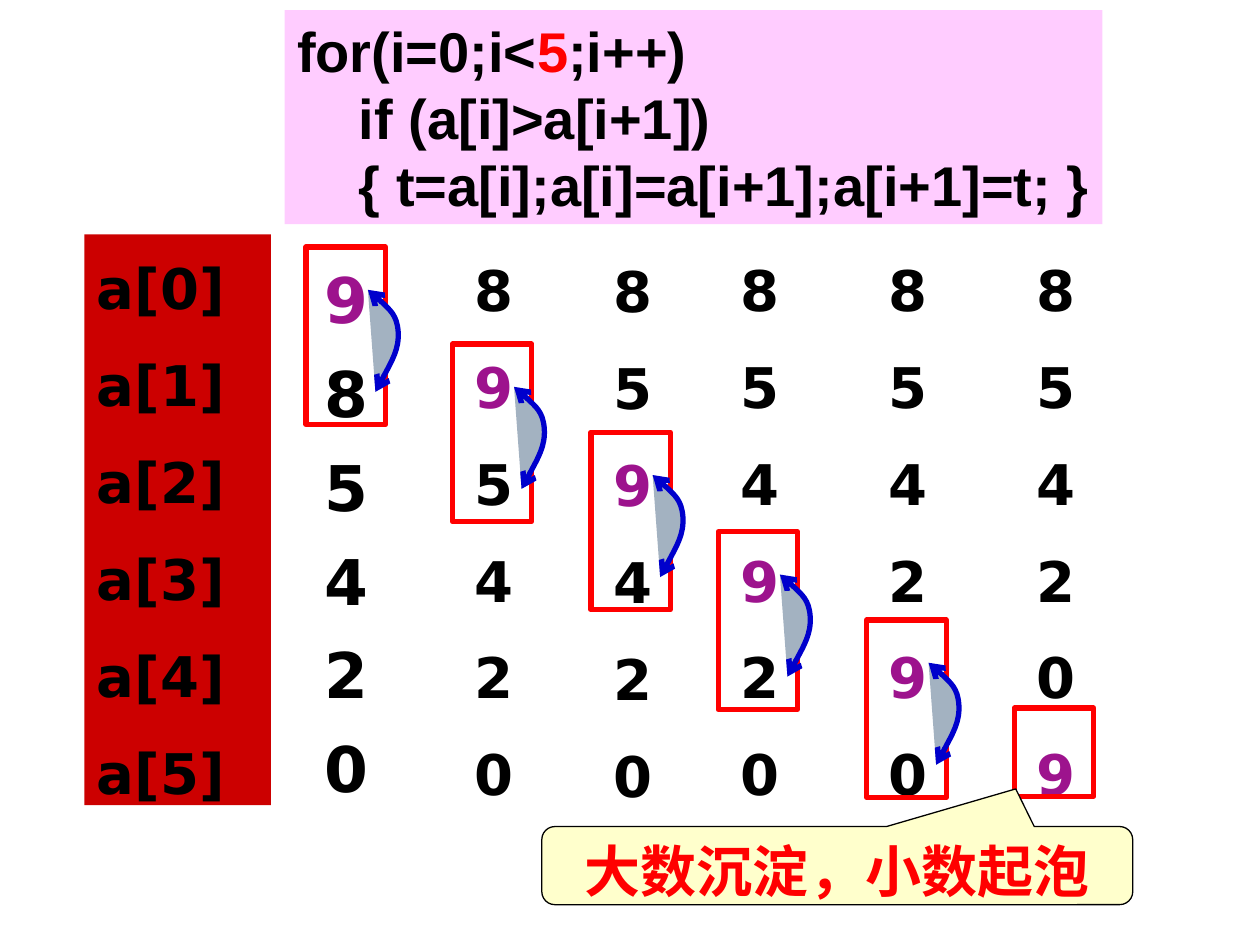
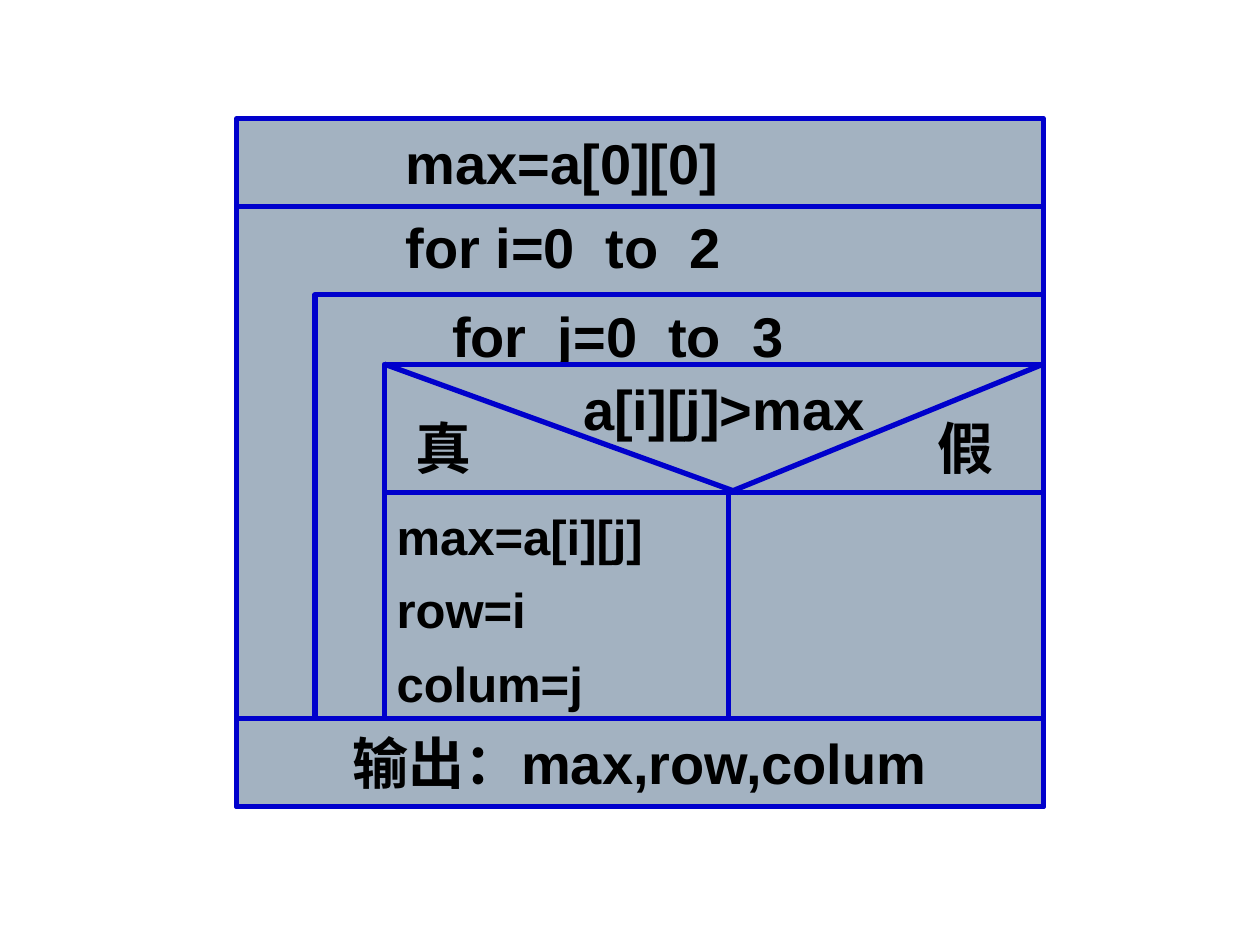
from lxml import etree
from pptx import Presentation
from pptx.dml.color import RGBColor
from pptx.enum.shapes import MSO_CONNECTOR, MSO_SHAPE as SHAPE
from pptx.enum.text import MSO_ANCHOR as ANCHOR, PP_ALIGN as ALIGN
from pptx.oxml.ns import qn
from pptx.util import Inches, Pt

COLORS = {
    "text": "000000", "red": "FF0000", "moving": "9D138D", "blue": "0000CC",
    "gray": "A3B2C1", "index": "CC0000", "code": "FFCCFF", "note": "FFFFCC",
}
CODE_FONT, DIGIT_FONT = "Arial", "DejaVu Sans"

# Slide 1 content: each line is a list of (text, colour) runs
LOOP_CODE = [
    [("for(i=0;i<", "text"), ("5", "red"), (";i++)", "text")],
    [("if (a[i]>a[i+1])", "text")],
    [("{ t=a[i];a[i]=a[i+1];a[i+1]=t; }", "text")],
]
LARGEST, OTHERS = "9", ["8", "5", "4", "2", "0"]
PASSES = [  # digits left, digits top, frame left, frame top
    (2.48, 2.02, 2.43, 1.96),
    (3.67, 1.87, 3.59, 2.73),
    (4.77, 1.88, 4.69, 3.43),
    (5.78, 1.87, 5.70, 4.22),
    (6.95, 1.87, 6.88, 4.92),
    (8.13, 1.87, 8.05, 5.62),
]
SUMMARY = "大数沉淀，小数起泡"

# Swap curve, relative to its top left: start, then (control, control, end)
SWAP_START = (0.06, 0.81)
SWAP_CURVES = [
    ((0.15, 0.64), (0.25, 0.47), (0.24, 0.33)),
    ((0.23, 0.20), (0.12, 0.10), (0, 0)),
]

# Slide 2 content: edges of the nested diagram
LEFT, FOR_J_LEFT, IF_LEFT, SPLIT, RIGHT = 1.88, 2.5, 3.05, 5.78, 8.28
TOP, FOR_I_TOP, FOR_J_TOP, IF_TOP, BRANCH_TOP, OUTPUT_TOP = 0.94, 1.64, 2.34, 2.89, 3.91, 5.7
BOTTOM = 6.4
BLOCKS = [  # lines, left, top, bottom, text options
    (["for i=0  to  2"], LEFT, FOR_I_TOP, BOTTOM, {"indent": 1.24}),
    (["for  j=0  to  3"], FOR_J_LEFT, FOR_J_TOP, OUTPUT_TOP, {"indent": 0.99}),
    (["max=a[i][j]", "row=i", "colum=j"], IF_LEFT, IF_TOP, OUTPUT_TOP,
     {"size": 28, "spacing": 1.25, "inset_top": 1.01}),
    (["max=a[0][0]"], LEFT, TOP, FOR_I_TOP, {"indent": 1.24, "anchor": ANCHOR.MIDDLE}),
    (["输出：max,row,colum"], LEFT, OUTPUT_TOP, BOTTOM,
     {"align": ALIGN.CENTER, "anchor": ANCHOR.MIDDLE}),
]
CONDITION_LABELS = [  # text, left, top, width
    ("a[i][j]>max", 4.53, 2.89, 2.58),
    ("真", 3.2, 3.2, 0.78),
    ("假", 7.34, 3.2, 0.78),
]
DIVIDERS = [
    (IF_LEFT, BRANCH_TOP, RIGHT, BRANCH_TOP),
    (SPLIT, BRANCH_TOP, RIGHT, IF_TOP),
    (IF_LEFT, IF_TOP, 5.86, BRANCH_TOP),
    (SPLIT, OUTPUT_TOP, SPLIT, BRANCH_TOP),
]


def color(name):
    return RGBColor.from_string(COLORS[name])


def style(shape, fill=None, line=None, width=3):
    shape.shadow.inherit = False
    if fill:
        shape.fill.solid()
        shape.fill.fore_color.rgb = color(fill)
    else:
        shape.fill.background()
    if line:
        shape.line.color.rgb = color(line)
        shape.line.width = Pt(width)
    else:
        shape.line.fill.background()


def add_box(slide, kind, left, top, width, height, fill=None, line=None, line_width=3):
    box = slide.shapes.add_shape(kind, *map(Inches, (left, top, width, height)))
    style(box, fill, line, line_width)
    return box


def write(shape, lines, size=32, font=CODE_FONT, align=ALIGN.LEFT, anchor=ANCHOR.TOP,
          spacing=None, before=None, indent=0, first_indent=None, inset_top=0.05, wrap=True):
    """Write lines of (text, colour) runs; plain strings are black."""
    frame = shape.text_frame
    frame.word_wrap = wrap
    frame.vertical_anchor = anchor
    frame.margin_top = Inches(inset_top)
    for number, line in enumerate(lines):
        para = frame.paragraphs[0] if number == 0 else frame.add_paragraph()
        para.alignment = align
        if spacing:
            para.line_spacing = spacing
        if before:
            para.space_before = Pt(before)
        margin = first_indent if number == 0 and first_indent is not None else indent
        if margin:
            para._p.get_or_add_pPr().set("marL", str(Inches(margin)))
        for text, ink in [(line, "text")] if isinstance(line, str) else line:
            run = para.add_run()
            run.text = text
            run.font.name, run.font.size, run.font.bold = font, Pt(size), True
            run.font.color.rgb = color(ink)


def add_swap_arrow(slide, left, top):
    def place(point):
        return Inches(left + point[0]), Inches(top + point[1])

    builder = slide.shapes.build_freeform(*place(SWAP_START))
    builder.add_line_segments([place(end) for _, _, end in SWAP_CURVES], close=False)
    arrow = builder.convert_to_shape()
    style(arrow, "gray", "blue")
    # Bend the straight segments
    segments = list(arrow._element.iter(qn("a:lnTo")))
    for segment, (*controls, _) in zip(segments, SWAP_CURVES):
        segment.tag = qn("a:cubicBezTo")
        for place_in_order, (x, y) in enumerate(controls):
            control = etree.Element(qn("a:pt"), x=str(Inches(x)), y=str(Inches(y)))
            segment.insert(place_in_order, control)
    # Arrowheads at both ends
    outline = arrow.line._get_or_add_ln()
    for end in ("a:headEnd", "a:tailEnd"):
        etree.SubElement(outline, qn(end), type="arrow")


def add_divider(slide, *ends):
    divider = slide.shapes.add_connector(MSO_CONNECTOR.STRAIGHT, *map(Inches, ends))
    divider.line.color.rgb = color("blue")
    divider.line.width = Pt(3)
    etree.SubElement(divider._element.spPr, qn("a:effectLst"))


def build_bubble_pass(slide):
    column_style = {"font": DIGIT_FONT, "spacing": 1.2, "before": 9.3}
    first_style = {"font": DIGIT_FONT, "size": 36, "before": 10.4}

    # The largest value sinks one row in every column
    for step, (left, top, frame_left, frame_top) in enumerate(PASSES):
        values = OTHERS[:step] + [[(LARGEST, "moving")]] + OTHERS[step:]
        digits = slide.shapes.add_textbox(*map(Inches, (left, top, 0.78, 4.53)))
        write(digits, values, **(column_style if step else first_style))
        swaps = step < len(OTHERS)
        add_box(slide, SHAPE.FLOWCHART_PROCESS, frame_left, frame_top, 0.63,
                1.41 if swaps else 0.7, line="red")
        if swaps:
            add_swap_arrow(slide, frame_left + 0.49, frame_top + 0.34)

    # Summary callout
    callout = add_box(slide, SHAPE.ROUNDED_RECTANGULAR_CALLOUT, 4.3, 6.56, 4.69, 0.62,
                      "note", "text", 0.75)
    for position, value in enumerate((0.302, -0.982, 0.167)):
        callout.adjustments[position] = value
    write(callout, [[(SUMMARY, "red")]], align=ALIGN.CENTER)

    # Index column and loop code
    index = add_box(slide, SHAPE.RECTANGLE, 0.67, 1.86, 1.48, 4.53, "index")
    write(index, [f"a[{row}]" for row in range(len(PASSES))], **column_style)
    code = add_box(slide, SHAPE.RECTANGLE, 2.26, 0.08, 6.49, 1.7, "code")
    write(code, LOOP_CODE, indent=0.49, first_indent=0, wrap=False)


def build_max_diagram(slide):
    for lines, left, top, bottom, options in BLOCKS:
        block = add_box(slide, SHAPE.FLOWCHART_PROCESS, left, top, RIGHT - left,
                        bottom - top, "gray", "blue")
        write(block, lines, **options)
    for text, left, top, width in CONDITION_LABELS:
        label = add_box(slide, SHAPE.FLOWCHART_PROCESS, left, top, width, 0.7)
        write(label, [text], anchor=ANCHOR.MIDDLE)
    for ends in DIVIDERS:
        add_divider(slide, *ends)


def main():
    deck = Presentation()
    deck.slide_width, deck.slide_height = Inches(10), Inches(7.5)
    blank = deck.slide_layouts[6]
    for build in (build_bubble_pass, build_max_diagram):
        build(deck.slides.add_slide(blank))
    deck.save("out.pptx")


if __name__ == "__main__":
    main()
